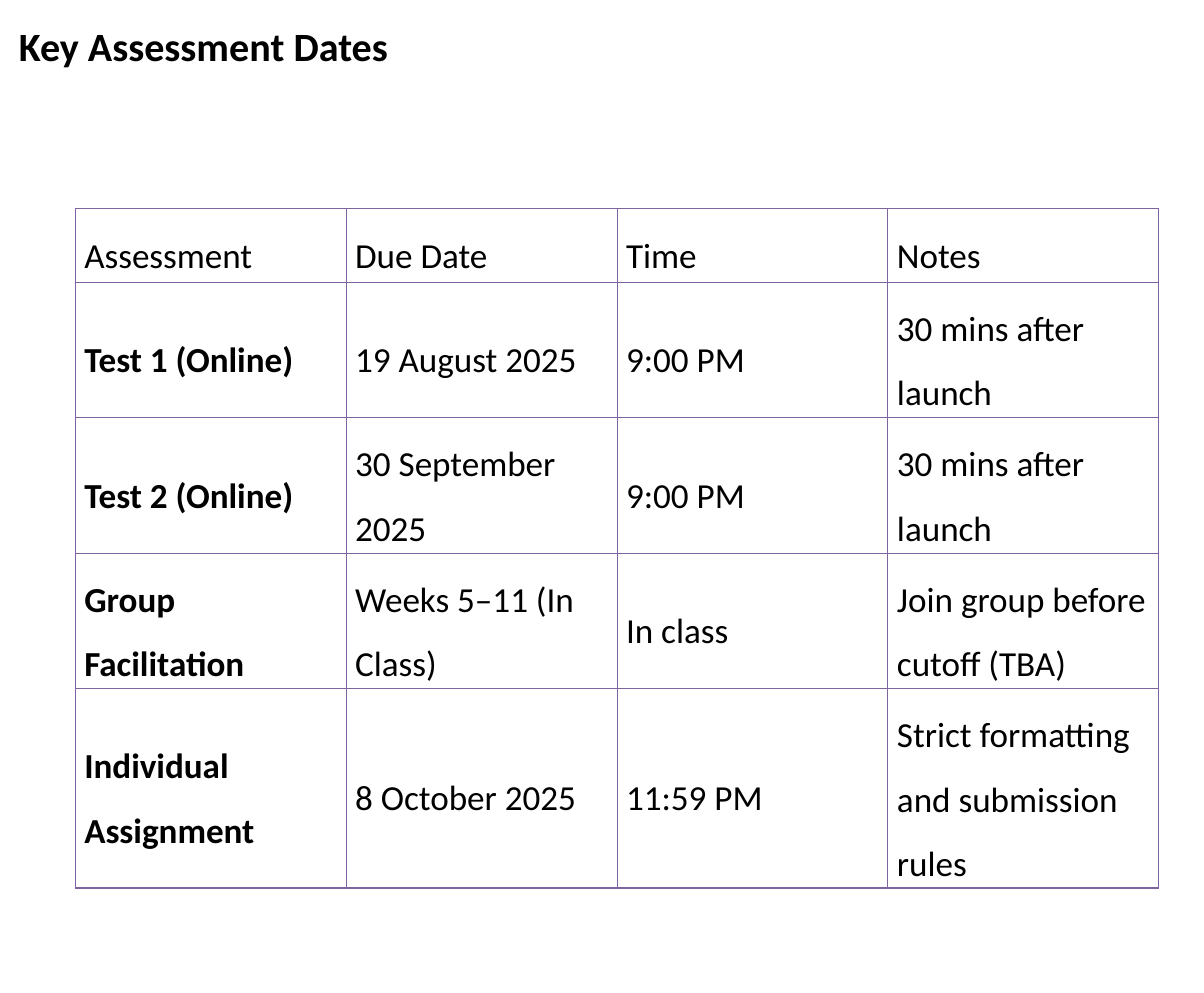
from lxml import etree
from pptx import Presentation
from pptx import util as u
from pptx.dml.color import RGBColor
from pptx.enum import text
from pptx.oxml import ns

PX = 9525
FONT = "Calibri"
COLOURS = {"ink": "000000", "border": "8064A2"}
ROWS = [
    ("Assessment", "Due Date", "Time", "Notes"),
    ("Test 1 (Online)", "19 August 2025", "9:00 PM", "30 mins after launch"),
    ("Test 2 (Online)", "30 September 2025", "9:00 PM", "30 mins after launch"),
    ("Group Facilitation", "Weeks 5–11 (In Class)", "In class",
     "Join group before cutoff (TBA)"),
    ("Individual Assignment", "8 October 2025", "11:59 PM",
     "Strict formatting and submission rules"),
]
ROW_HEIGHTS = [78, 144, 144, 144, 212]


def px(length):
    """Turn pixels into EMU."""
    return u.Emu(length * PX)


def format_paragraph(paragraph, size, bold):
    """Set the font of every run in a paragraph."""
    for run in paragraph.runs:
        run.font.name = FONT
        run.font.size = u.Pt(size)
        run.font.bold = bold
        run.font.color.rgb = RGBColor.from_string(COLOURS["ink"])


def add_borders(cell):
    """Draw a thin line on all four sides of a cell."""
    properties = cell._tc.get_or_add_tcPr()
    for side in ("lnL", "lnR", "lnT", "lnB"):
        line = etree.SubElement(properties, ns.qn(f"a:{side}"), w=str(u.Pt(1)))
        fill = etree.SubElement(line, ns.qn("a:solidFill"))
        etree.SubElement(fill, ns.qn("a:srgbClr"), val=COLOURS["border"])


def add_title(slide, left, top, width, height):
    """Place the slide heading in its box."""
    shape = slide.shapes.add_textbox(px(left), px(top), px(width), px(height))
    frame = shape.text_frame
    frame.word_wrap = True
    frame.margin_left = frame.margin_right = frame.margin_bottom = 0
    frame.margin_top = px(1)
    frame.text = "Key Assessment Dates"
    format_paragraph(frame.paragraphs[0], 32, True)


def add_dates_table(slide, left, top, width):
    """Place the table of assessment dates with equal columns."""
    shape = slide.shapes.add_table(len(ROWS), len(ROWS[0]), px(left), px(top),
                                   px(width), px(sum(ROW_HEIGHTS)))
    table = shape.table
    table.first_row = table.horz_banding = False
    for row_index, (values, height) in enumerate(zip(ROWS, ROW_HEIGHTS)):
        table.rows[row_index].height = px(height)
        for column_index, value in enumerate(values):
            cell = table.cell(row_index, column_index)
            add_borders(cell)
            cell.fill.background()
            cell.vertical_anchor = text.MSO_ANCHOR.MIDDLE
            cell.text_frame.text = value
            paragraph = cell.text_frame.paragraphs[0]
            paragraph.line_spacing = 1.5
            format_paragraph(paragraph, 28, row_index > 0 and column_index == 0)


def main():
    """Build and save the slide."""
    presentation = Presentation()
    presentation.slide_width, presentation.slide_height = px(1280), px(1056)
    slide = presentation.slides.add_slide(presentation.slide_layouts[6])
    add_title(slide, 20, 22, 1092, 55)
    add_dates_table(slide, 80, 222, 1152)
    presentation.save("out.pptx")


if __name__ == "__main__":
    main()
